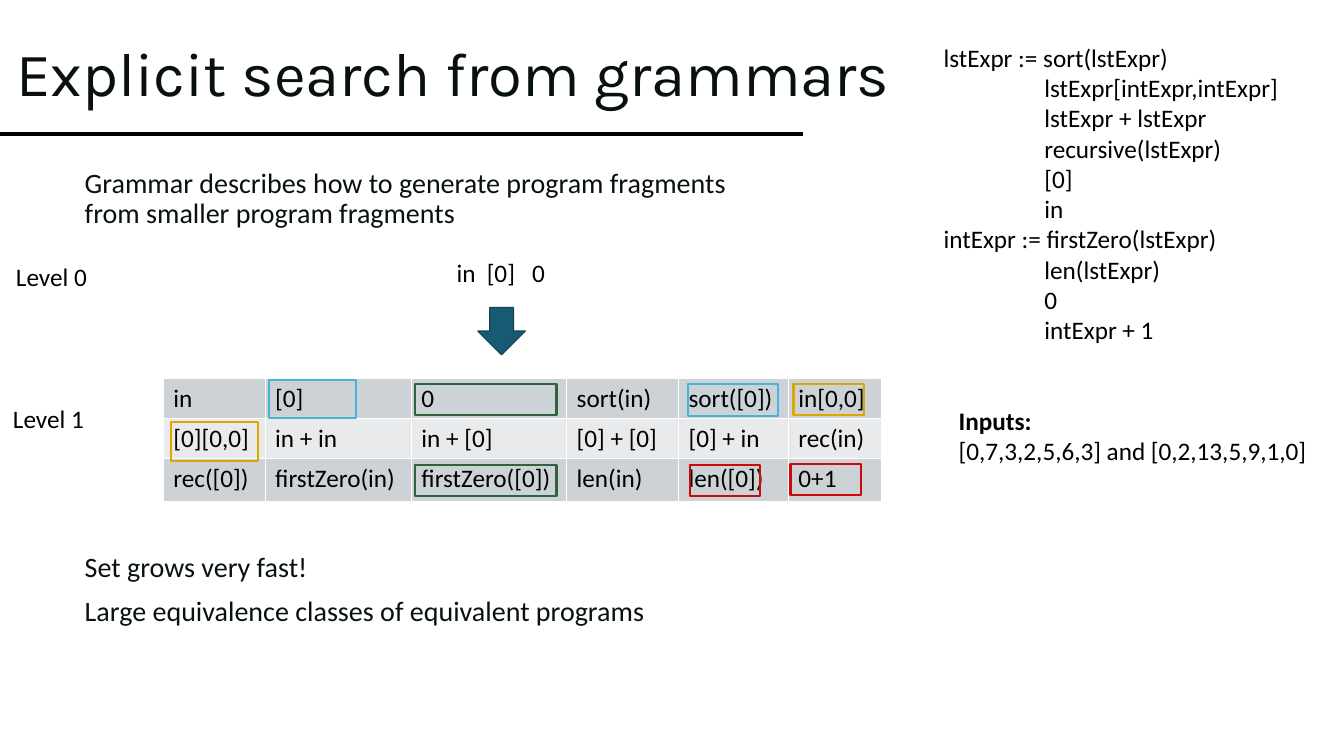
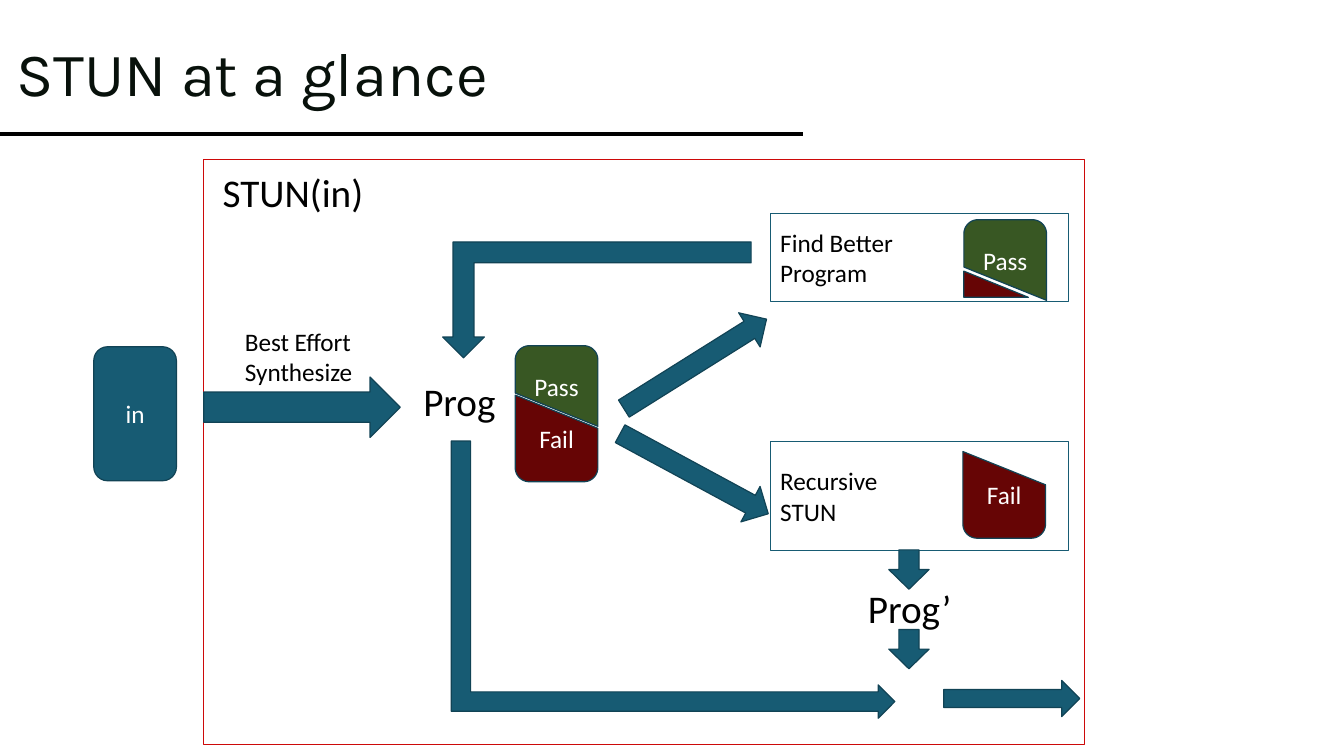
from math import cos, pi, sin
from typing import NamedTuple

from lxml.etree import SubElement
from pptx import Presentation
from pptx.dml.color import RGBColor
from pptx.enum.shapes import MSO_CONNECTOR, MSO_SHAPE
from pptx.enum.text import MSO_ANCHOR, MSO_AUTO_SIZE, PP_ALIGN
from pptx.oxml.ns import qn
from pptx.util import Inches, Pt

BLACK = RGBColor(0x00, 0x00, 0x00)
WHITE = RGBColor(0xFF, 0xFF, 0xFF)
INK = RGBColor(0x08, 0x11, 0x0B)
TEAL = RGBColor(0x17, 0x5B, 0x73)
TEAL_EDGE = RGBColor(0x11, 0x43, 0x55)
PASS_GREEN = RGBColor(0x38, 0x57, 0x23)
FAIL_RED = RGBColor(0x66, 0x05, 0x05)
RED = RGBColor(0xCD, 0x09, 0x09)
GREEN = RGBColor(0x2F, 0x63, 0x40)
GOLD = RGBColor(0xDC, 0xA8, 0x00)
SKY = RGBColor(0x45, 0xB3, 0xDA)
BANDS = (RGBColor(0xCC, 0xD2, 0xD5), RGBColor(0xE8, 0xEA, 0xEB))

TITLE_FONT, BODY_FONT = "Karla", "Calibri"
TILE_W, PASS_H, FAIL_H, SLANT, CORNER = 0.82, 0.8, 0.86, 0.33, 0.14


class Box(NamedTuple):
    left: float
    top: float
    width: float
    height: float

    def emu(self):
        return tuple(Inches(v) for v in self)


class Mark(NamedTuple):
    """Coloured outline around a table entry; equal colours mean equivalent programs."""
    box: Box
    color: RGBColor


class Arrow(NamedTuple):
    box: Box
    kind: MSO_SHAPE = MSO_SHAPE.RIGHT_ARROW
    rotation: float = 0
    adjustments: tuple = ()


class Label(NamedTuple):
    text: str
    box: Box
    size: int = 18


def style_text(tf, size: float, color=BLACK, font=BODY_FONT, align=PP_ALIGN.LEFT):
    for p in tf.paragraphs:
        p.alignment = align
        for r in p.runs:
            r.font.size, r.font.name = Pt(size), font
            r.font.color.rgb = color


def place(sp, box: Box):
    sp.left, sp.top, sp.width, sp.height = box.emu()


def paint(sp, fill, line, weight=0.85):
    sp.shadow.inherit = False
    if fill is None:
        sp.fill.background()
    else:
        sp.fill.solid()
        sp.fill.fore_color.rgb = fill
    sp.line.color.rgb = line
    sp.line.width = Pt(weight)


def add_box(s, kind, box: Box, fill, line, weight=0.85):
    sp = s.shapes.add_shape(kind, *box.emu())
    paint(sp, fill, line, weight)
    return sp


def write_in(sp, text: str, color=WHITE, align=PP_ALIGN.CENTER):
    tf = sp.text_frame
    tf.text = text
    tf.vertical_anchor = MSO_ANCHOR.MIDDLE
    style_text(tf, 18, color, align=align)


def add_label(s, label: Label, wrap=False):
    tf = s.shapes.add_textbox(*label.box.emu()).text_frame
    tf.word_wrap = wrap
    tf.text = label.text
    style_text(tf, label.size)
    return tf


def add_arrow(s, arrow: Arrow):
    sp = add_box(s, arrow.kind, arrow.box, TEAL, TEAL_EDGE)
    sp.rotation = arrow.rotation
    for i, value in enumerate(arrow.adjustments):
        sp.adjustments[i] = value


def add_titled_slide(prs, layout: int, title: str, width: float):
    s = prs.slides.add_slide(prs.slide_layouts[layout])
    rule = s.shapes.add_connector(
        MSO_CONNECTOR.STRAIGHT, 0, Inches(1.33), Inches(7.96), Inches(1.33))
    rule.line.color.rgb = BLACK
    rule.line.width = Pt(2.25)
    SubElement(rule._element.spPr, qn("a:effectLst"))
    place(s.shapes.title, Box(0.06, 0.03, width, 1.45))
    tf = s.shapes.title.text_frame
    tf.text = title
    tf.auto_size = MSO_AUTO_SIZE.NONE
    tf.vertical_anchor = MSO_ANCHOR.MIDDLE
    tf.paragraphs[0].line_spacing = 0.9
    style_text(tf, 44, INK, TITLE_FONT)
    return s


def add_polygon(s, points, fill):
    pts = [(Inches(x), Inches(y)) for x, y in points]
    builder = s.shapes.build_freeform(*pts[0])
    builder.add_line_segments(pts[1:], close=True)
    sp = builder.convert_to_shape()
    paint(sp, fill, TEAL_EDGE)
    return sp


def half_tile(height: float):
    """Points of a tile with a rounded top and a bottom that slants down to the right."""
    steps = 12
    angles = [pi / 2 * i / steps for i in range(steps + 1)]
    left = [(CORNER - CORNER * cos(a), CORNER - CORNER * sin(a)) for a in angles]
    right = [(TILE_W - x, y) for x, y in reversed(left)]
    return left + right + [(TILE_W, height), (0, height - SLANT)]


def add_pass(s, left: float, top: float):
    points = [(left + x, top + y) for x, y in half_tile(PASS_H)]
    write_in(add_polygon(s, points, PASS_GREEN), "Pass")


def add_fail(s, left: float, top: float):
    """The pass outline turned half round."""
    points = [(left + TILE_W - x, top + FAIL_H - y) for x, y in half_tile(FAIL_H)]
    write_in(add_polygon(s, points, FAIL_RED), "Fail")


def set_tabs(p, *stops: float):
    tabs = SubElement(p._p.get_or_add_pPr(), qn("a:tabLst"))
    for stop in stops:
        SubElement(tabs, qn("a:tab"), pos=str(Inches(stop)), algn="l")


def add_body(s, box: Box, items):
    """Fill the body placeholder with (text, points before) items."""
    body = s.placeholders[1]
    place(body, box)
    tf = body.text_frame
    tf.text = "\n".join(text for text, _ in items)
    tf.auto_size = MSO_AUTO_SIZE.NONE
    for p, (_, before) in zip(tf.paragraphs, items):
        pPr = p._p.get_or_add_pPr()
        pPr.set("marL", str(Inches(0.25)))
        pPr.set("indent", "0")
        SubElement(pPr, qn("a:buNone"))
        p.line_spacing = 0.9
        p.space_before = Pt(before)
    style_text(tf, 20, INK)


def set_borders(cell):
    tcPr = cell._tc.get_or_add_tcPr()
    for side in ("lnL", "lnR", "lnT", "lnB"):
        ln = SubElement(tcPr, qn(f"a:{side}"), w=str(Pt(1)))
        fill = SubElement(ln, qn("a:solidFill"))
        SubElement(fill, qn("a:srgbClr"), val=str(WHITE))


def add_programs(s, rows, box: Box, widths, heights):
    table = s.shapes.add_table(len(rows), len(widths), *box.emu()).table
    table.first_row = table.horz_banding = False
    for column, width in zip(table.columns, widths):
        column.width = Inches(width)
    for i, (row, height) in enumerate(zip(rows, heights)):
        table.rows[i].height = Inches(height)
        for j, text in enumerate(row):
            cell = table.cell(i, j)
            set_borders(cell)
            cell.fill.solid()
            cell.fill.fore_color.rgb = BANDS[i % 2]
            cell.text_frame.text = text
            style_text(cell.text_frame, 18)


def add_grammar(s, box: Box, rules):
    lines = [(f"{name} := {option}" if i == 0 else option, i > 0)
             for name, options in rules for i, option in enumerate(options)]
    tf = add_label(s, Label("\n".join(text for text, _ in lines), box), wrap=True)
    for p, (_, indented) in zip(tf.paragraphs, lines):
        if indented:
            p._p.get_or_add_pPr().set("marL", str(Inches(1)))


def build_search_slide(prs):
    s = add_titled_slide(prs, 1, "Explicit search from grammars", 9.02)
    add_body(s, Box(0.49, 1.63, 7.05, 5.87), [
        ("Grammar describes how to generate program fragments "
         "from smaller program fragments", 0),
        ("Set grows very fast!", 231),
        ("Large equivalence classes of equivalent programs", 10),
    ])
    add_grammar(s, Box(9.26, 0.37, 3.58, 3.13), [
        ("lstExpr", ("sort(lstExpr)", "lstExpr[intExpr,intExpr]", "lstExpr + lstExpr",
                     "recursive(lstExpr)", "[0]", "in")),
        ("intExpr", ("firstZero(lstExpr)", "len(lstExpr)", "0", "intExpr + 1")),
    ])
    seeds = add_label(s, Label("in\t[0]\t0", Box(4.43, 2.5, 1.2, 0.4)), wrap=True)
    set_tabs(seeds.paragraphs[0], 0.3, 0.75)
    add_programs(s, [
        ("in", "[0]", "0", "sort(in)", "sort([0])", "in[0,0]"),
        ("[0][0,0]", "in + in", "in + [0]", "[0] + [0]", "[0] + in", "rec(in)"),
        ("rec([0])", "firstZero(in)", "firstZero([0])", "len(in)", "len([0])", "0+1"),
    ], Box(1.62, 3.75, 7.12, 1.23), (1.01, 1.45, 1.54, 1.11, 1.09, 0.92), (0.4, 0.4, 0.43))
    add_arrow(s, Arrow(Box(4.74, 3.05, 0.47, 0.47), MSO_SHAPE.DOWN_ARROW))
    for mark in (
        Mark(Box(4.12, 4.61, 1.4, 0.31), GREEN),
        Mark(Box(6.84, 4.61, 0.7, 0.31), RED),
        Mark(Box(7.84, 4.6, 0.7, 0.31), RED),
        Mark(Box(4.12, 3.81, 1.4, 0.31), GREEN),
        Mark(Box(1.7, 4.19, 0.86, 0.38), GOLD),
        Mark(Box(7.87, 3.81, 0.7, 0.31), GOLD),
        Mark(Box(6.82, 3.81, 0.9, 0.32), SKY),
        Mark(Box(2.67, 3.77, 0.86, 0.38), SKY),
    ):
        add_box(s, MSO_SHAPE.RECTANGLE, mark.box, None, mark.color, 1.5)
    add_label(s, Label("Level 0", Box(0.06, 2.54, 0.92, 0.4)))
    add_label(s, Label("Level 1", Box(0.03, 3.95, 0.92, 0.4)))
    inputs = add_label(s, Label("Inputs:\n[0,7,3,2,5,6,3] and [0,2,13,5,9,1,0]",
                                Box(9.41, 3.97, 3.69, 0.71)))
    inputs.paragraphs[0].runs[0].font.bold = True


def build_stun_slide(prs):
    s = add_titled_slide(prs, 5, "STUN at a glance", 7.51)
    add_box(s, MSO_SHAPE.RECTANGLE, Box(2.02, 1.58, 8.74, 5.81), WHITE, RED)
    source = add_box(s, MSO_SHAPE.ROUNDED_RECTANGLE, Box(0.93, 3.44, TILE_W, 1.33),
                     TEAL, TEAL_EDGE)
    write_in(source, "in")
    for kind, text, box in (
        (MSO_SHAPE.RECTANGLE, "Find Better\vProgram", Box(7.64, 2.12, 2.96, 0.87)),
        (MSO_SHAPE.FLOWCHART_PROCESS, "Recursive\vSTUN", Box(7.64, 4.38, 2.96, 1.08)),
    ):
        write_in(add_box(s, kind, box, WHITE, TEAL), text, BLACK, PP_ALIGN.LEFT)
    add_pass(s, 5.11, 3.43)
    add_fail(s, 5.11, 3.92)
    add_polygon(s, [(9.56, 2.69), (10.2, 2.95), (9.56, 2.95)], FAIL_RED)
    add_pass(s, 9.56, 2.18)
    add_fail(s, 9.55, 4.48)
    for arrow in (
        Arrow(Box(2.02, 3.74, 1.95, 0.6)),
        Arrow(Box(6.06, 3.41, 1.67, 0.4), rotation=327.9),
        Arrow(Box(6.05, 4.5, 1.67, 0.4), rotation=28.4),
        Arrow(Box(8.82, 5.45, 0.39, 0.4), rotation=90),
        Arrow(Box(8.82, 6.24, 0.39, 0.4), rotation=90),
        Arrow(Box(9.36, 6.75, 1.35, 0.36)),
        Arrow(Box(4.39, 2.4, 3.06, 1.15), MSO_SHAPE.BENT_UP_ARROW, 180, (0.18, 0.18, 0.18)),
        Arrow(Box(5.3, 3.55, 2.75, 4.4), MSO_SHAPE.BENT_UP_ARROW, 90, (0.07, 0.06, 0.06)),
    ):
        add_arrow(s, arrow)
    for label in (
        Label("STUN(in)", Box(2.11, 1.62, 1.61, 0.57), 28),
        Label("Best Effort\vSynthesize", Box(2.33, 3.19, 1.28, 0.71)),
        Label("Prog", Box(4.1, 3.69, 0.93, 0.57), 28),
        Label("Prog’", Box(8.51, 5.75, 1.04, 0.57), 28),
    ):
        add_label(s, label)


def main():
    prs = Presentation()
    prs.slide_width, prs.slide_height = Inches(13.33), Inches(7.5)
    build_search_slide(prs)
    build_stun_slide(prs)
    prs.save("out.pptx")


if __name__ == "__main__":
    main()
